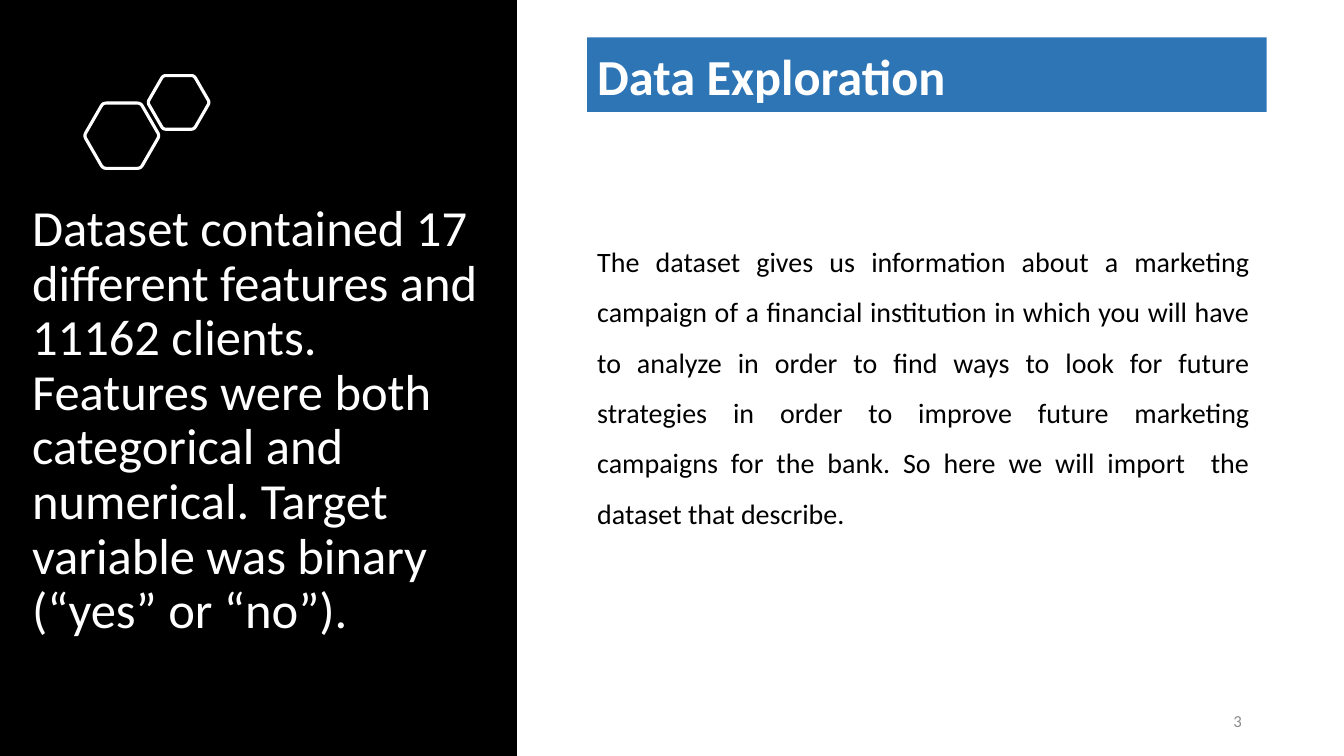
from dataclasses import dataclass
from math import cos, pi, sin

from pptx import Presentation
from pptx.dml.color import RGBColor
from pptx.enum.shapes import MSO_SHAPE as Preset
from pptx.enum.text import MSO_ANCHOR as Anchor, PP_ALIGN as Align
from pptx.slide import Slide
from pptx.util import Cm, Pt

BLACK = RGBColor(0x00, 0x00, 0x00)
WHITE = RGBColor(0xFF, 0xFF, 0xFF)
BLUE = RGBColor(0x2E, 0x75, 0xB6)
GRAY = RGBColor(0x8C, 0x8C, 0x8C)
FONT = "Calibri"
CORNER_CUT = 0.09
CORNER_STEPS = 6

SUMMARY = (
    "Dataset contained 17 different features and 11162 clients.\v"
    "Features were both categorical and numerical. "
    "Target variable was binary (“yes” or “no”)."
)
DESCRIPTION = (
    "The dataset gives us information about a marketing campaign of a "
    "financial institution in which you will have to analyze in order to find "
    "ways to look for future strategies in order to improve future marketing "
    "campaigns for the bank. So here we will import  the dataset that describe."
)


@dataclass(frozen=True)
class Frame:
    """Place and size in centimetres."""
    left: float
    top: float
    width: float
    height: float

    def lengths(self) -> tuple[Cm, Cm, Cm, Cm]:
        """Return the frame as slide lengths."""
        return Cm(self.left), Cm(self.top), Cm(self.width), Cm(self.height)


@dataclass(frozen=True)
class Hexagon:
    """Centre and circumradius in centimetres."""
    x: float
    y: float
    radius: float


HEXAGONS = (Hexagon(3.07, 3.42, 0.95), Hexagon(4.5, 2.58, 0.78))


def add_panel(page: Slide, frame: Frame, color: RGBColor) -> None:
    """Draw a plain filled rectangle."""
    panel = page.shapes.add_shape(Preset.RECTANGLE, *frame.lengths())
    panel.shadow.inherit = False
    panel.fill.solid()
    panel.fill.fore_color.rgb = color
    panel.line.fill.background()


def add_hexagon(page: Slide, hexagon: Hexagon) -> None:
    """Draw an outlined hexagon with rounded corners."""
    corners = [
        (hexagon.x + hexagon.radius * cos(k * pi / 3),
         hexagon.y + hexagon.radius * sin(k * pi / 3))
        for k in range(6)
    ]
    points = []
    for k, corner in enumerate(corners):
        before, after = corners[k - 1], corners[(k + 1) % 6]
        for step in range(CORNER_STEPS + 1):
            t = step / CORNER_STEPS
            points.append(tuple(
                Cm(c + CORNER_CUT * ((1 - t) ** 2 * (b - c) + t ** 2 * (a - c)))
                for b, c, a in zip(before, corner, after)
            ))
    builder = page.shapes.build_freeform(*points[0])
    builder.add_line_segments(points[1:], close=True)
    outline = builder.convert_to_shape()
    outline.shadow.inherit = False
    outline.fill.background()
    outline.line.color.rgb = WHITE
    outline.line.width = Pt(2.25)


def add_text(page: Slide, frame: Frame, text: str, *, size: float,
             color: RGBColor, bold: bool = False, align: Align = Align.LEFT,
             anchor: Anchor = Anchor.TOP, spacing: float = 1.0,
             fill: RGBColor | None = None, bottom: float = 0.13) -> None:
    """Add a wrapped text box holding one paragraph."""
    box = page.shapes.add_textbox(*frame.lengths())
    if fill is not None:
        box.fill.solid()
        box.fill.fore_color.rgb = fill
    box.text_frame.word_wrap = True
    box.text_frame.vertical_anchor = anchor
    box.text_frame.margin_bottom = Cm(bottom)
    para = box.text_frame.paragraphs[0]
    para.text = text
    para.alignment = align
    para.line_spacing = spacing
    for span in para.runs:
        span.font.name = FONT
        span.font.size = Pt(size)
        span.font.bold = bold
        span.font.color.rgb = color


def main() -> None:
    """Build the slide and save the deck."""
    deck = Presentation()
    deck.slide_width, deck.slide_height = Cm(33.87), Cm(19.05)
    page = deck.slides.add_slide(deck.slide_layouts[6])
    add_panel(page, Frame(0, 0, 13.03, 19.05), BLACK)
    for hexagon in HEXAGONS:
        add_hexagon(page, hexagon)
    add_text(page, Frame(14.8, 0.94, 17.12, 1.88), "Data Exploration", size=36,
             color=WHITE, bold=True, anchor=Anchor.BOTTOM, spacing=0.9, fill=BLUE)
    add_text(page, Frame(0.56, 4.95, 11.94, 12.67), SUMMARY, size=36.1,
             color=WHITE, anchor=Anchor.BOTTOM, spacing=0.9, bottom=1.5)
    add_text(page, Frame(23.93, 17.65, 7.62, 1.02), "3", size=12, color=GRAY,
             align=Align.RIGHT, anchor=Anchor.MIDDLE)
    add_text(page, Frame(14.8, 5.61, 16.94, 7.82), DESCRIPTION, size=20,
             color=BLACK, align=Align.JUSTIFY, spacing=1.5)
    deck.save("out.pptx")


if __name__ == "__main__":
    main()
